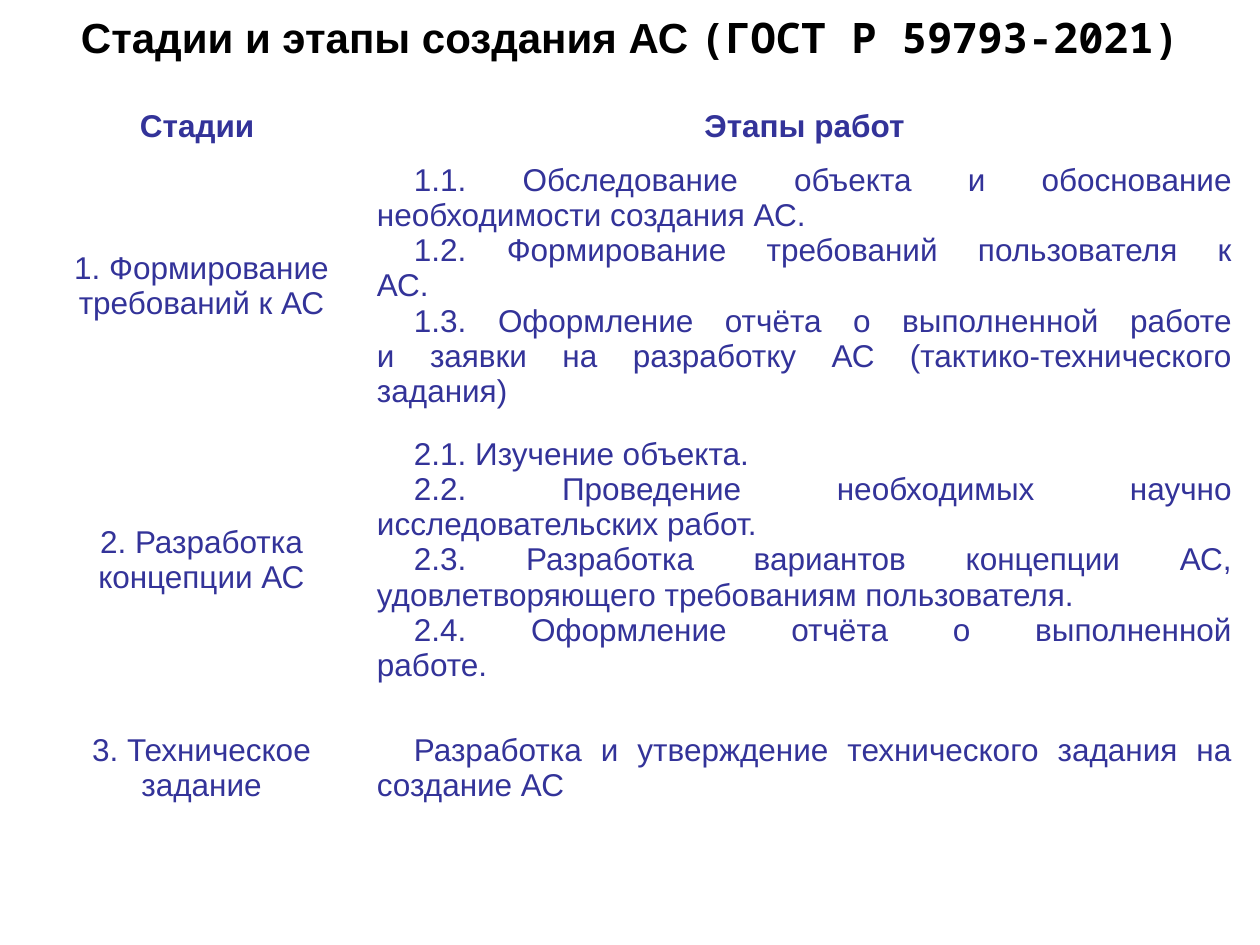
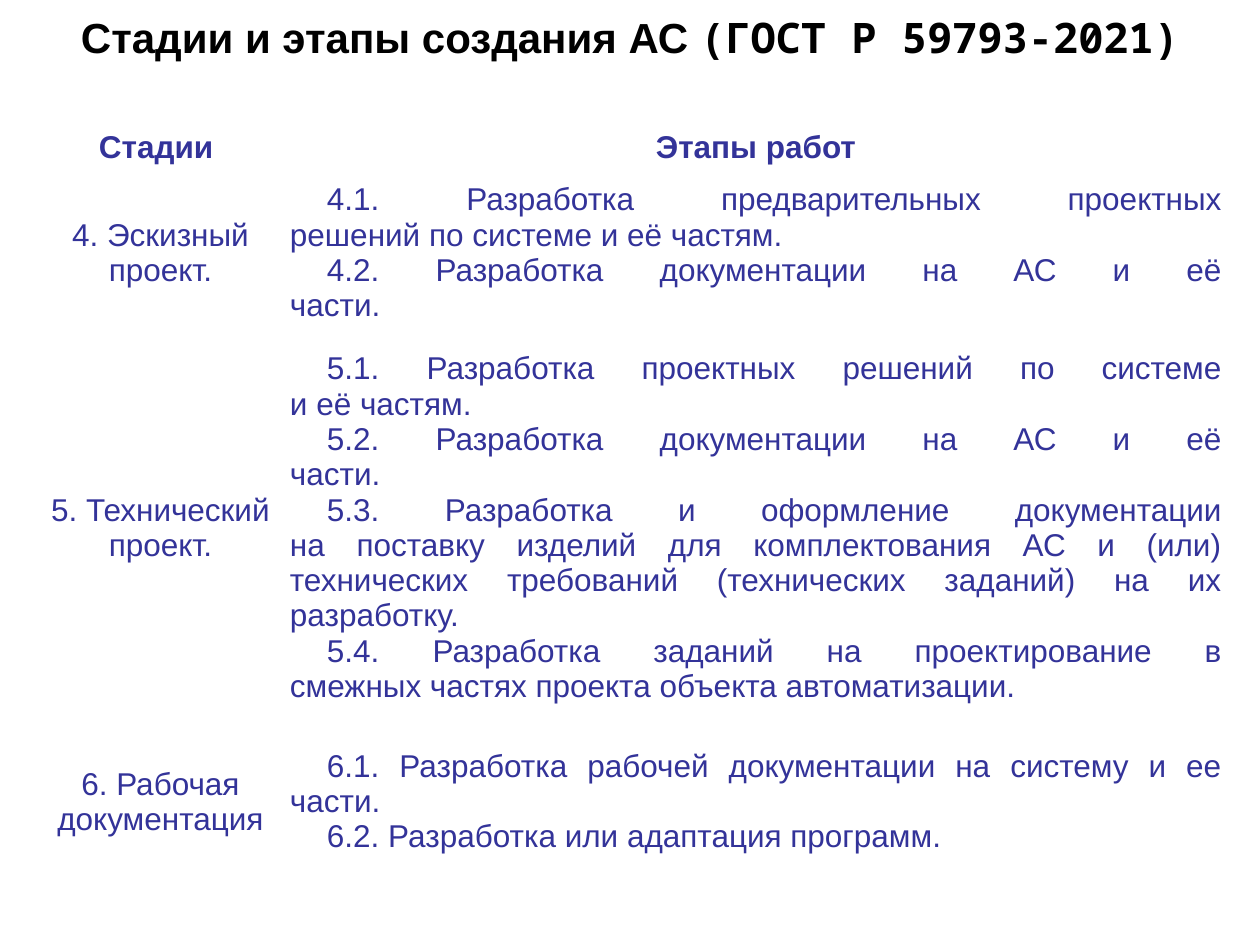
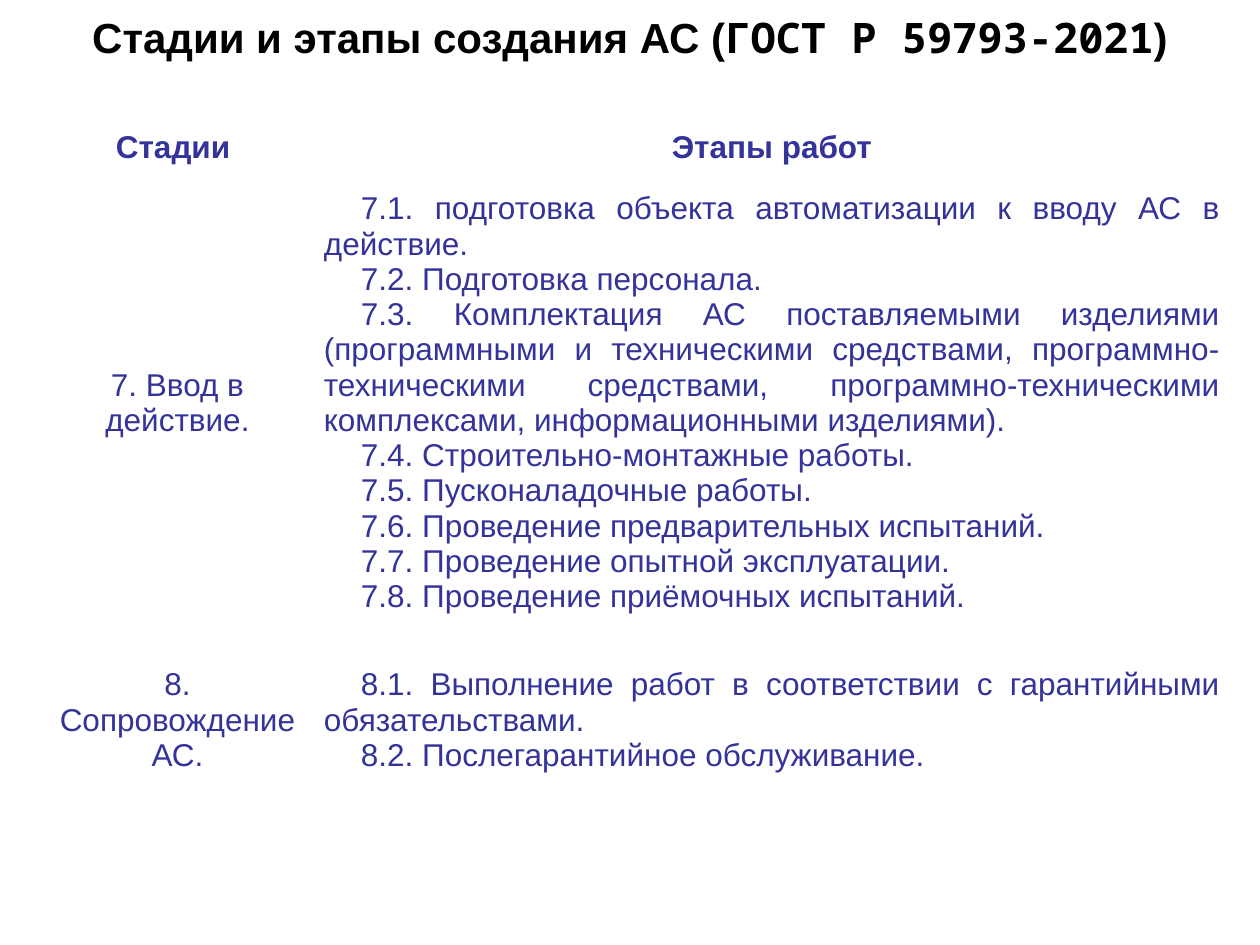
"""Build three slides with tables of the stages of creating an automated system."""
from dataclasses import dataclass

from lxml.etree import SubElement
from pptx import Presentation
from pptx.dml.color import RGBColor
from pptx.enum.text import MSO_ANCHOR, MSO_AUTO_SIZE, PP_ALIGN
from pptx.oxml.ns import qn
from pptx.util import Pt

SCALE = 914400 // 126
SLIDE_W, SLIDE_H = 1260, 945
BLACK, WHITE, INDIGO = "000000", "FFFFFF", "333399"
SANS, MONO = "Arial", "Noto Sans Mono"
TITLE_SIZE, TABLE_SIZE = 24, 18
HEADER_INSET, VERTICAL_INSET, FIRST_INDENT = 9, 4, 37
HEADERS = ("Стадии ", "Этапы работ")
NO_STYLE = "{2D5ABB26-0587-4C30-8999-92F81FD0307C}"


@dataclass(frozen=True)
class Stage:
    """A stage of work, the steps in it and the height of its row."""
    name: str
    height: int
    steps: tuple[str, ...]


@dataclass(frozen=True)
class StageSlide:
    """The title runs, table geometry and stages of one slide."""
    title: tuple[tuple[str, str], ...]
    left: int
    top: int
    columns: tuple[int, int]
    header_height: int
    inset: int
    bordered: bool
    stages: tuple[Stage, ...]


TITLE = (("Стадии и этапы создания АС ", SANS), ("(ГОСТ Р 59793-2021)", MONO))
TITLE_SANS_BRACKETS = (
    ("Стадии и этапы создания АС (", SANS),
    ("ГОСТ Р 59793-2021", MONO),
    (")", SANS),
)

SLIDES = (
    StageSlide(TITLE, 35, 105, (333, 873), 44, 9, True, (
        Stage("1. Формирование\vтребований к АС", 274, (
            "1.1. Обследование объекта и обоснование\vнеобходимости создания АС.",
            "1.2. Формирование требований пользователя к\vАС.",
            "1.3. Оформление отчёта о выполненной работе\v"
            "и заявки на разработку АС (тактико-технического\vзадания) ",
        )),
        Stage("2. Разработка\vконцепции АС", 274, (
            "2.1. Изучение объекта.",
            "2.2. Проведение необходимых научно\vисследовательских работ.",
            "2.3. Разработка вариантов концепции АС,\v"
            "удовлетворяющего требованиям пользователя.",
            "2.4. Оформление отчёта о выполненной\vработе.",
        )),
        Stage("3. Техническое задание", 142, (
            "Разработка и утверждение технического задания на создание АС",
        )),
    )),
    StageSlide(TITLE, 39, 125, (243, 948), 43, 8, True, (
        Stage("4. Эскизный\vпроект.", 164, (
            "4.1. Разработка предварительных проектных\v"
            "решений по системе и её частям.",
            "4.2. Разработка документации на АС и её\vчасти.",
        )),
        Stage("5. Технический\vпроект.", 381, (
            "5.1. Разработка проектных решений по системе\vи её частям.",
            "5.2. Разработка документации на АС и её\vчасти.",
            "5.3. Разработка и оформление документации\v"
            "на поставку изделий для комплектования АС и (или)\v"
            "технических требований (технических заданий) на их\vразработку.",
            "5.4. Разработка заданий на проектирование в\v"
            "смежных частях проекта объекта автоматизации.",
        )),
        Stage("6. Рабочая документация", 162, (
            "6.1. Разработка рабочей документации на систему и ее части.",
            "6.2. Разработка или адаптация программ. ",
        )),
    )),
    StageSlide(TITLE_SANS_BRACKETS, 39, 125, (277, 912), 44, 8, False, (
        Stage("7. Ввод в действие.", 464, (
            "7.1. подготовка объекта автоматизации к вводу АС в действие.",
            "7.2. Подготовка персонала.",
            "7.3. Комплектация АС поставляемыми изделиями (программными и "
            "техническими средствами, программно-техническими средствами, "
            "программно-техническими комплексами, информационными изделиями).",
            "7.4. Строительно-монтажные работы.",
            "7.5. Пусконаладочные работы.",
            "7.6. Проведение предварительных испытаний.",
            "7.7. Проведение опытной эксплуатации.",
            "7.8. Проведение приёмочных испытаний.",
        )),
        Stage("8. Сопровождение АС.", 171, (
            "8.1. Выполнение работ в соответствии с гарантийными обязательствами.",
            "8.2. Послегарантийное обслуживание.",
        )),
    )),
)


def px(length: int) -> int:
    """Turn pixels into EMU."""
    return length * SCALE


def rgb(color: str) -> RGBColor:
    """Turn a hex string into a colour."""
    return RGBColor.from_string(color)


def format_run(r, size: int, color: str, bold: bool, name: str = SANS) -> None:
    """Set the font of a run."""
    r.font.size, r.font.bold, r.font.name = Pt(size), bold, name
    r.font.color.rgb = rgb(color)


def add_title(s, parts: tuple[tuple[str, str], ...]) -> None:
    """Add the centred title across the top of the slide."""
    tf = s.shapes.add_textbox(0, px(5), px(SLIDE_W), px(63)).text_frame
    tf.word_wrap = True
    tf.auto_size = MSO_AUTO_SIZE.SHAPE_TO_FIT_TEXT
    p = tf.paragraphs[0]
    p.alignment = PP_ALIGN.CENTER
    for text, name in parts:
        r = p.add_run()
        r.text = text
        format_run(r, TITLE_SIZE, BLACK, True, name)


def add_borders(cell) -> None:
    """Draw a thin white line on each side of a cell."""
    properties = cell._tc.get_or_add_tcPr()
    for i, side in enumerate(("a:lnL", "a:lnR", "a:lnT", "a:lnB")):
        line = properties.makeelement(qn(side), {"w": str(Pt(1))})
        fill = SubElement(line, qn("a:solidFill"))
        SubElement(fill, qn("a:srgbClr"), val=WHITE)
        properties.insert(i, line)


def fill_cell(cell, lines: tuple[str, ...], inset: int, bold: bool = False,
              steps: bool = False, bordered: bool = False) -> None:
    """Write lines into a cell, centred or as justified steps."""
    cell.fill.background()
    cell.vertical_anchor = MSO_ANCHOR.MIDDLE
    cell.margin_left = cell.margin_right = px(inset)
    cell.margin_top = cell.margin_bottom = px(VERTICAL_INSET)
    if bordered:
        add_borders(cell)
    tf = cell.text_frame
    tf.text = "\n".join(lines)
    for p in tf.paragraphs:
        p.alignment = PP_ALIGN.JUSTIFY if steps else PP_ALIGN.CENTER
        if steps:
            properties = p._p.get_or_add_pPr()
            properties.set("marL", "0")
            properties.set("indent", str(px(FIRST_INDENT)))
        for r in p.runs:
            format_run(r, TABLE_SIZE, INDIGO, bold)


def add_stage_table(s, data: StageSlide) -> None:
    """Add the table of stages and their steps."""
    heights = (data.header_height, *(stage.height for stage in data.stages))
    table = s.shapes.add_table(
        len(heights), len(data.columns), px(data.left), px(data.top),
        px(sum(data.columns)), px(sum(heights))).table
    table.first_row = table.horz_banding = False
    table._tbl.tblPr.find(qn("a:tableStyleId")).text = NO_STYLE
    for column, width in zip(table.columns, data.columns):
        column.width = px(width)
    for row, height in zip(table.rows, heights):
        row.height = px(height)
    for i, header in enumerate(HEADERS):
        fill_cell(table.cell(0, i), (header,), HEADER_INSET, bold=True,
                  bordered=data.bordered)
    for i, stage in enumerate(data.stages, 1):
        fill_cell(table.cell(i, 0), (stage.name,), data.inset,
                  bordered=data.bordered)
        fill_cell(table.cell(i, 1), stage.steps, data.inset, steps=True,
                  bordered=data.bordered)


def main() -> None:
    """Build and save the presentation."""
    prs = Presentation()
    prs.slide_width, prs.slide_height = px(SLIDE_W), px(SLIDE_H)
    for data in SLIDES:
        s = prs.slides.add_slide(prs.slide_layouts[6])
        add_stage_table(s, data)
        add_title(s, data.title)
    prs.save("out.pptx")


main()
